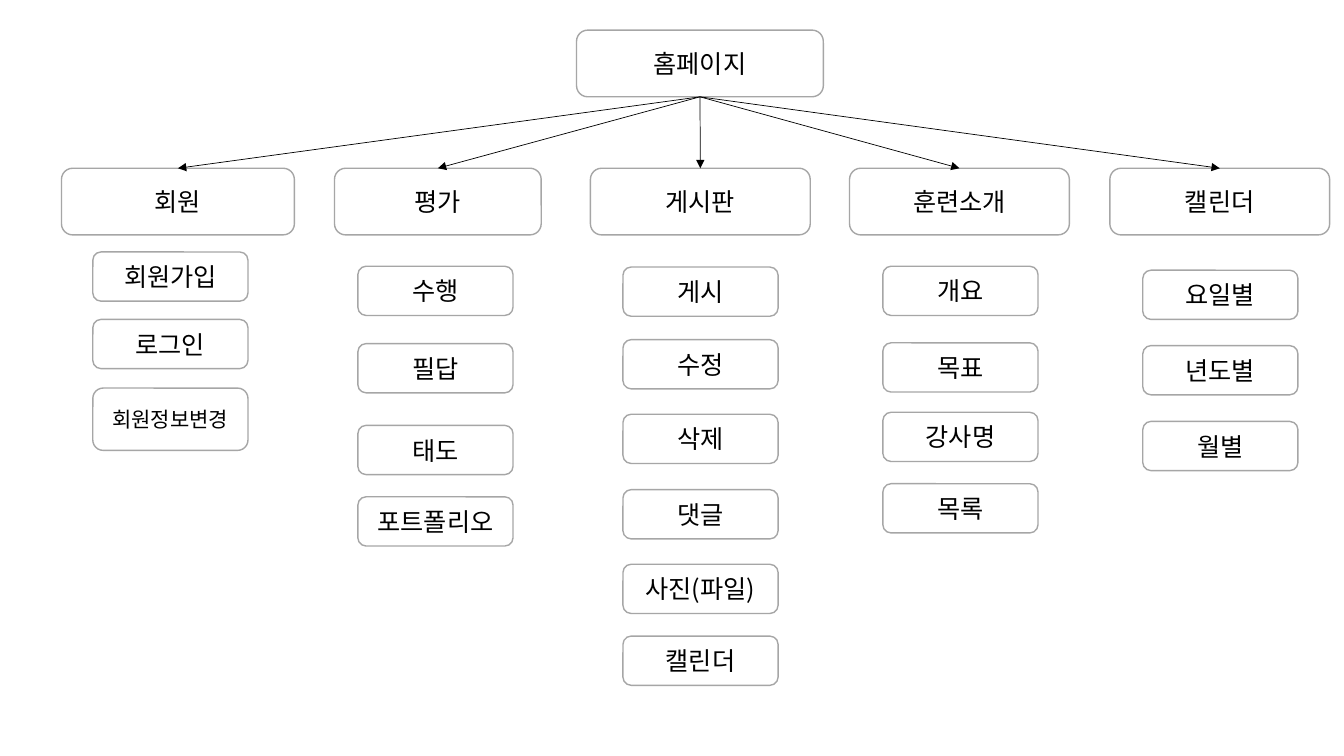
from dataclasses import dataclass

from lxml.etree import SubElement
from pptx import Presentation
from pptx.dml.color import RGBColor
from pptx.enum.shapes import MSO_CONNECTOR as Connector, MSO_SHAPE as Shape
from pptx.enum.text import MSO_ANCHOR as Anchor, PP_ALIGN as Align
from pptx.oxml.ns import qn
from pptx.util import Cm, Pt


@dataclass(frozen=True)
class Theme:
    font: str = "Noto Sans CJK KR"
    text: RGBColor = RGBColor(0, 0, 0)
    border: RGBColor = RGBColor(0xA6, 0xA6, 0xA6)
    arrow: RGBColor = RGBColor(0, 0, 0)
    body_size: float = 18
    small_size: float = 15
    border_width: float = 1
    arrow_width: float = 0.5


THEME = Theme()
HOME = ("홈페이지", (14.53, 0.76, 6.22, 1.68))
MENU_TOP, MENU_HEIGHT = 4.24, 1.68
ITEM_WIDTH, ITEM_HEIGHT, TALL_ITEM_HEIGHT = 3.91, 1.24, 1.57
LONG_ITEM = "회원정보변경"
MENUS = [
    ("회원", 1.55, 5.87, 2.34,
     {"회원가입": 6.35, "로그인": 8.05, LONG_ITEM: 9.78}),
    ("평가", 8.43, 5.21, 9.02,
     {"수행": 6.71, "필답": 8.66, "태도": 10.72, "포트폴리오": 12.52}),
    ("게시판", 14.88, 5.54, 15.7,
     {"게시": 6.73, "수정": 8.56, "삭제": 10.44,
      "댓글": 12.34, "사진(파일)": 14.22, "캘린더": 16.03}),
    ("훈련소개", 21.41, 5.54, 22.25,
     {"개요": 6.71, "목표": 8.64, "강사명": 10.39, "목록": 12.19}),
    ("캘린더", 27.97, 5.54, 28.8,
     {"요일별": 6.81, "년도별": 8.71, "월별": 10.62}),
]


def apply_format(target, values):
    for name, value in values.items():
        setattr(target, name, value)


def add_node(page, label, bounds, size=THEME.body_size):
    node = page.shapes.add_shape(Shape.ROUNDED_RECTANGLE, *map(Cm, bounds))
    node.shadow.inherit = False
    node.fill.background()
    node.line.color.rgb = THEME.border
    node.line.width = Pt(THEME.border_width)
    apply_format(node.text_frame, {"word_wrap": True, "vertical_anchor": Anchor.MIDDLE})
    para = node.text_frame.paragraphs[0]
    para.alignment = Align.CENTER
    span = para.add_run()
    span.text = label
    apply_format(span.font, {"name": THEME.font, "size": Pt(size)})
    span.font.color.rgb = THEME.text
    SubElement(span.font._element, qn("a:ea"), typeface=THEME.font)
    return node


def add_arrow(page, source, target):
    arrow = page.shapes.add_connector(Connector.STRAIGHT, 0, 0, 0, 0)
    arrow.begin_connect(source, 2)
    arrow.end_connect(target, 0)
    arrow.line.color.rgb = THEME.arrow
    arrow.line.width = Pt(THEME.arrow_width)
    properties = arrow._element.spPr
    SubElement(properties.find(qn("a:ln")), qn("a:tailEnd"), type="triangle")
    SubElement(properties, qn("a:effectLst"))


def add_menu(page, label, bounds, item_offset, items):
    left, top, width, height = bounds
    head = add_node(page, label, bounds)
    for item, offset in items.items():
        is_long = item == LONG_ITEM
        item_height = TALL_ITEM_HEIGHT if is_long else ITEM_HEIGHT
        size = THEME.small_size if is_long else THEME.body_size
        box = (left + item_offset, top + offset, ITEM_WIDTH, item_height)
        add_node(page, item, box, size)
    return head


def add_site_map(page):
    home = add_node(page, *HOME)
    heads = []
    for label, left, width, item_left, item_tops in MENUS:
        offsets = {item: top - MENU_TOP for item, top in item_tops.items()}
        bounds = (left, MENU_TOP, width, MENU_HEIGHT)
        heads.append(add_menu(page, label, bounds, item_left - left, offsets))
    for head in heads:
        add_arrow(page, home, head)


deck = Presentation()
apply_format(deck, {"slide_width": Cm(33.87), "slide_height": Cm(19.05)})
add_site_map(deck.slides.add_slide(deck.slide_layouts[6]))
deck.save("out.pptx")
